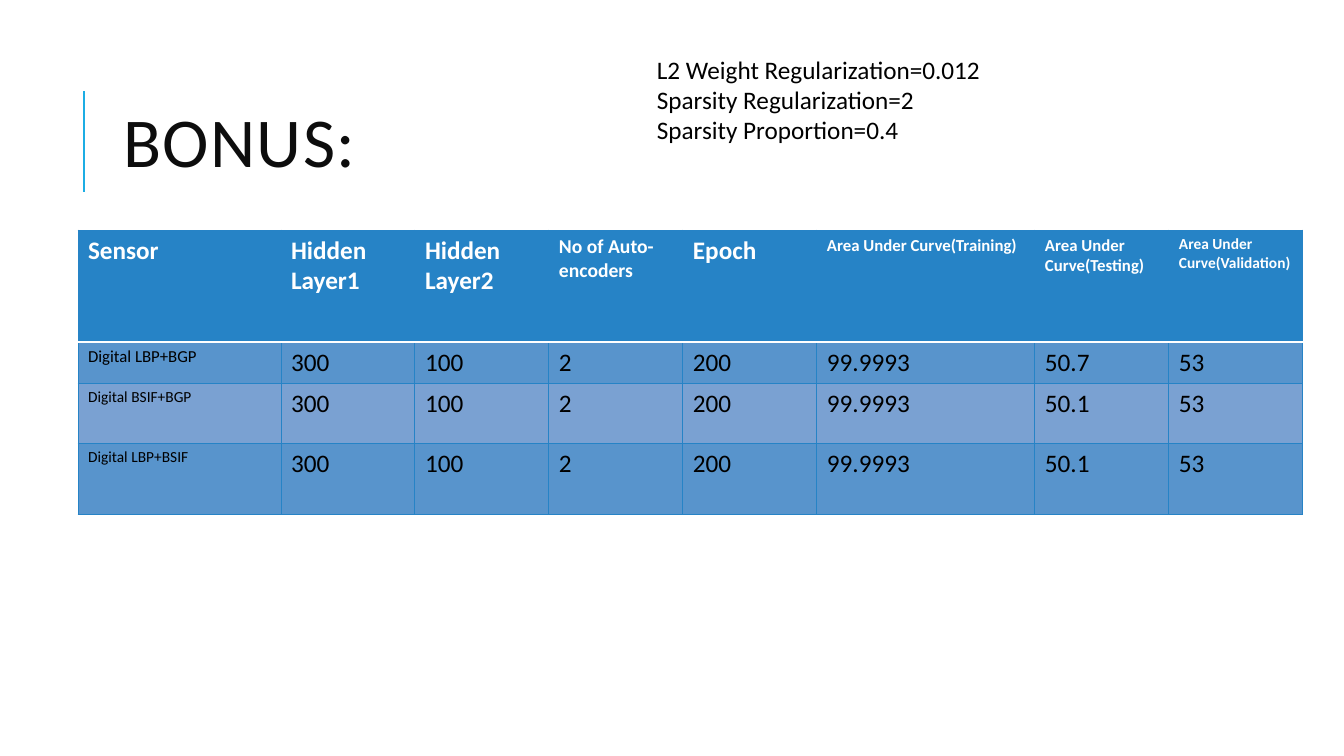
from dataclasses import dataclass

from lxml.etree import SubElement
from pptx import Presentation
from pptx.dml.color import RGBColor
from pptx.enum.shapes import MSO_CONNECTOR
from pptx.enum.text import MSO_ANCHOR, MSO_AUTO_SIZE, PP_ALIGN
from pptx.oxml.ns import qn
from pptx.util import Emu, Pt


@dataclass(frozen=True)
class Theme:
    font: str = "Calibri"
    accent: str = "1CADE4"
    blue: str = "2683C6"
    band_dark: str = "5894CC"
    band_light: str = "7AA1D2"
    white: str = "FFFFFF"
    black: str = "000000"
    title_ink: str = "0D0D0D"
    title: int = 50
    body: int = 18
    medium: int = 14
    small: int = 12
    tiny: int = 11


T = Theme()
SCALE = 914400 / 100.8

HEADERS = [
    ("Sensor", T.body),
    ("Hidden Layer1", T.body),
    ("Hidden Layer2", T.body),
    ("No of Auto-encoders", T.medium),
    ("Epoch", T.body),
    ("Area Under Curve(Training)", T.small),
    ("Area Under Curve(Testing)", T.small),
    ("Area Under Curve(Validation)", T.tiny),
]
SENSORS = [
    ("Digital LBP+BGP", T.small, "50.7"),
    ("Digital BSIF+BGP", T.tiny, "50.1"),
    ("Digital LBP+BSIF", T.tiny, "50.1"),
]
SETTINGS = [
    "L2 Weight Regularization=0.012",
    "Sparsity Regularization=2",
    "Sparsity Proportion=0.4",
]
COLUMN_WIDTHS = [203, 134, 134, 134, 134, 218, 134, 134]
ROW_HEIGHTS = [112, 41, 60, 71]


def px(n):
    return Emu(round(n * SCALE))


def rgb(color):
    return RGBColor.from_string(color)


def style(tf, size, color, bold=False):
    for p in tf.paragraphs:
        for r in p.runs:
            r.font.name = T.font
            r.font.size = Pt(size)
            r.font.bold = bold
            r.font.color.rgb = rgb(color)


def border(cell, side, color, width):
    ln = SubElement(cell._tc.get_or_add_tcPr(), qn(f"a:ln{side}"), w=str(Pt(width)))
    fill = SubElement(ln, qn("a:solidFill"))
    SubElement(fill, qn("a:srgbClr"), val=color)


def add_title(slide, x, y, w, h):
    sp = slide.shapes.title
    sp.left, sp.top, sp.width, sp.height = map(px, (x, y, w, h))
    tf = sp.text_frame
    tf.text = "BONUS:"
    tf.auto_size = MSO_AUTO_SIZE.NONE
    tf.vertical_anchor = MSO_ANCHOR.MIDDLE
    p = tf.paragraphs[0]
    p.alignment = PP_ALIGN.LEFT
    p.line_spacing = 0.8
    style(tf, T.title, T.title_ink)
    p.runs[0].font._element.set("spc", "100")


def add_title_rule(slide, x, y, h):
    line = slide.shapes.add_connector(
        MSO_CONNECTOR.STRAIGHT, px(x), px(y + h), px(x), px(y))
    line.line.color.rgb = rgb(T.accent)
    line.line.width = Pt(1.5)
    SubElement(line._element.spPr, qn("a:effectLst"))


def add_settings(slide, x, y, w, h):
    tf = slide.shapes.add_textbox(px(x), px(y), px(w), px(h)).text_frame
    tf.word_wrap = True
    tf.text = "\n".join(SETTINGS)
    style(tf, T.body, T.black)


def fill_cell(cell, text, size, color, fill, is_header):
    cell.text = text
    style(cell.text_frame, size, color, is_header)
    for side in "LRT":
        top_of_body = side == "T" and not is_header and fill == T.white
        border(cell, side, T.white if top_of_body else T.blue, 0.75)
    border(cell, "B", T.white if is_header else T.blue, 1.25 if is_header else 0.75)
    cell.fill.solid()
    cell.fill.fore_color.rgb = rgb(fill)


def add_results(slide, x, y, w, h):
    rows = [HEADERS] + [
        [(sensor, size)] + [(value, T.body) for value in
                            ("300", "100", "2", "200", "99.9993", testing, "53")]
        for sensor, size, testing in SENSORS
    ]
    table = slide.shapes.add_table(
        len(rows), len(HEADERS), px(x), px(y), px(w), px(h)).table
    for column, width in zip(table.columns, COLUMN_WIDTHS):
        column.width = px(width)
    for row, height in zip(table.rows, ROW_HEIGHTS):
        row.height = px(height)
    for i, row in enumerate(rows):
        is_header = i == 0
        band = T.band_dark if i % 2 else T.band_light
        fill, ink = (T.blue, T.white) if is_header else (band, T.black)
        for j, (text, size) in enumerate(row):
            cell = table.cell(i, j)
            fill_cell(cell, text, size, ink, fill, is_header)
            if i == 1:
                top = cell._tc.tcPr.find(qn("a:lnT"))
                top.set("w", str(Pt(1.25)))
                top.find(".//" + qn("a:srgbClr")).set("val", T.white)


def build_bonus_slide(prs):
    slide = prs.slides.add_slide(prs.slide_layouts[5])
    add_title_rule(slide, 84, 91, 101)
    add_title(slide, 113, 65, 1071, 165)
    add_results(slide, 78, 230, sum(COLUMN_WIDTHS), sum(ROW_HEIGHTS))
    add_settings(slide, 647, 49, 545, 102)


prs = Presentation()
prs.slide_width, prs.slide_height = px(1344), px(756)
build_bonus_slide(prs)
prs.save("out.pptx")
